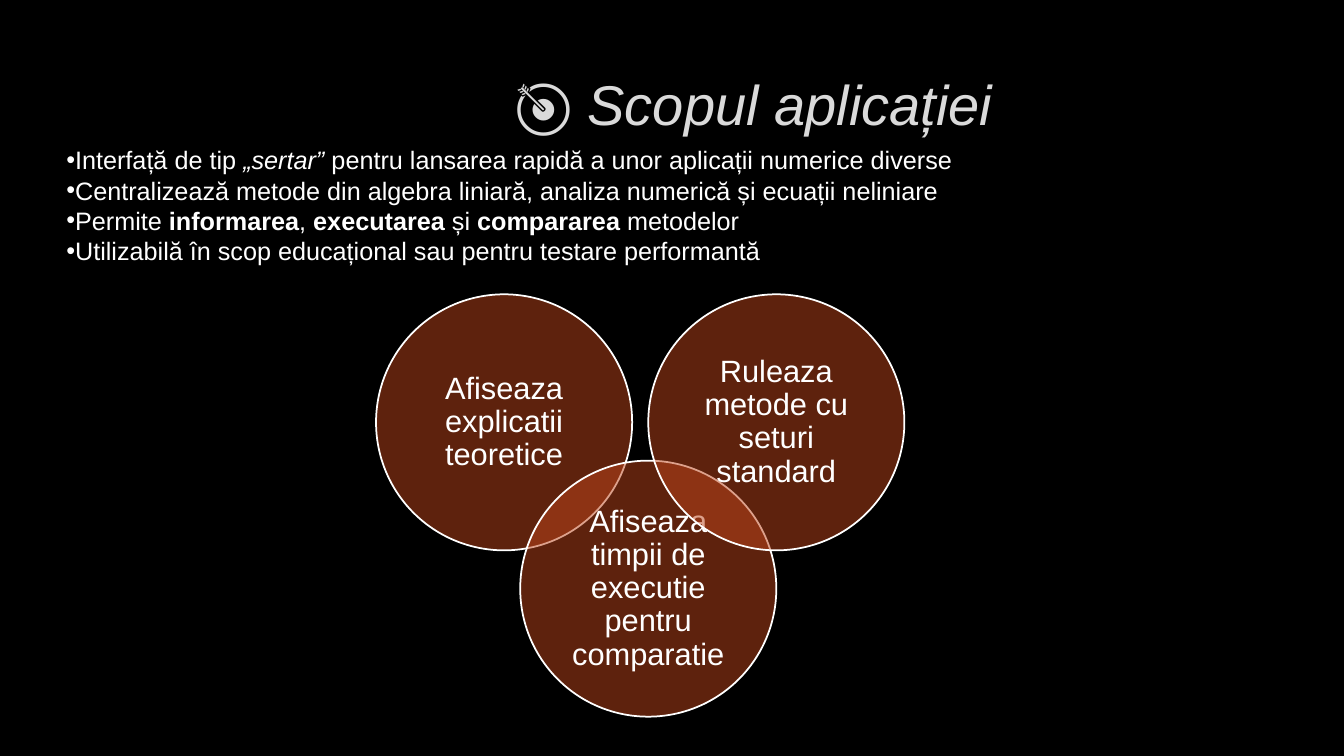
from lxml.etree import SubElement
from pptx import Presentation
from pptx.dml.color import RGBColor
from pptx.enum.shapes import MSO_SHAPE
from pptx.enum.text import MSO_ANCHOR, PP_ALIGN
from pptx.oxml.ns import qn
from pptx.util import Inches, Pt

BLACK = RGBColor(0x00, 0x00, 0x00)
WHITE = RGBColor(0xFF, 0xFF, 0xFF)
SILVER = RGBColor(0xDA, 0xDA, 0xDA)
RUST = RGBColor(0xBC, 0x45, 0x1B)
FONT = "Arial"

# Content: each paragraph is a list of (text, style), style "", "i" or "b"
TITLE = [[("🎯 ", ""), ("Scopul aplicației", "i")]]
POINTS = [
    [("Interfață de tip ", ""), ("„sertar” ", "i"),
     ("pentru lansarea rapidă a unor aplicații numerice diverse", "")],
    [("Centralizează metode din algebra liniară, analiza numerică și ecuații neliniare", "")],
    [("Permite ", ""), ("informarea", "b"), (", ", ""), ("executarea ", "b"),
     ("și ", ""), ("compararea ", "b"), ("metodelor", "")],
    [("Utilizabilă în scop educațional sau pentru testare performantă", "")],
]
# Circles from back to front: text, left, top
DIAMETER = 2.54
UPPER, LOWER = 2.92, 4.57
CIRCLES = [
    ("Afiseaza explicatii teoretice", 3.73, UPPER),
    ("Afiseaza timpii de executie pentru comparatie", 5.16, LOWER),
    ("Ruleaza metode cu seturi standard", 6.43, UPPER),
]


def write(shape, paragraphs, size, color=WHITE, align=PP_ALIGN.LEFT,
          spacing=None, bullet=None, inset=None):
    """Fill a shape with formatted, vertically centred paragraphs."""
    frame = shape.text_frame
    frame.word_wrap = True
    frame.vertical_anchor = MSO_ANCHOR.MIDDLE
    if inset is not None:
        frame.margin_left = frame.margin_right = Inches(inset)
        frame.margin_top = frame.margin_bottom = Inches(inset)
    for index, spans in enumerate(paragraphs):
        para = frame.paragraphs[0] if index == 0 else frame.add_paragraph()
        para.alignment = align
        if spacing is not None:
            para.line_spacing = spacing
        if bullet:
            properties = para._p.get_or_add_pPr()
            properties.set("marL", "0")
            properties.set("indent", "0")
            SubElement(properties, qn("a:buFont")).set("typeface", FONT)
            SubElement(properties, qn("a:buChar")).set("char", bullet)
        for text, style in spans:
            span = para.add_run()
            span.text = text
            span.font.name = FONT
            span.font.size = Pt(size)
            span.font.color.rgb = color
            span.font.italic = style == "i"
            span.font.bold = style == "b"


def add_circle(page, text, left, top):
    circle = page.shapes.add_shape(
        MSO_SHAPE.OVAL, Inches(left), Inches(top), Inches(DIAMETER), Inches(DIAMETER))
    circle.shadow.inherit = False
    circle.fill.solid()
    circle.fill.fore_color.rgb = RUST
    tint = circle._element.spPr.find(qn("a:solidFill")).find(qn("a:srgbClr"))
    SubElement(tint, qn("a:alpha")).set("val", "50000")
    circle.line.color.rgb = WHITE
    circle.line.width = Pt(1.25)
    write(circle, [[(text, "")]], 22, align=PP_ALIGN.CENTER, spacing=0.9, inset=0.09)


def main():
    deck = Presentation()
    deck.slide_width, deck.slide_height = Inches(13.33), Inches(7.5)
    page = deck.slides.add_slide(deck.slide_layouts[6])
    page.background.fill.solid()
    page.background.fill.fore_color.rgb = BLACK

    # Title
    box = page.shapes.add_textbox(Inches(2.33), Inches(0.26), Inches(10.29), Inches(1.53))
    write(box, TITLE, 40, color=SILVER, align=PP_ALIGN.CENTER)

    # Bullet points
    box = page.shapes.add_textbox(Inches(0.56), Inches(1.38), Inches(11.17), Inches(1.31))
    write(box, POINTS, 18, spacing=Pt(21.6), bullet="•")

    # Overlapping circles
    for text, left, top in CIRCLES:
        add_circle(page, text, left, top)

    deck.save("out.pptx")


if __name__ == "__main__":
    main()
